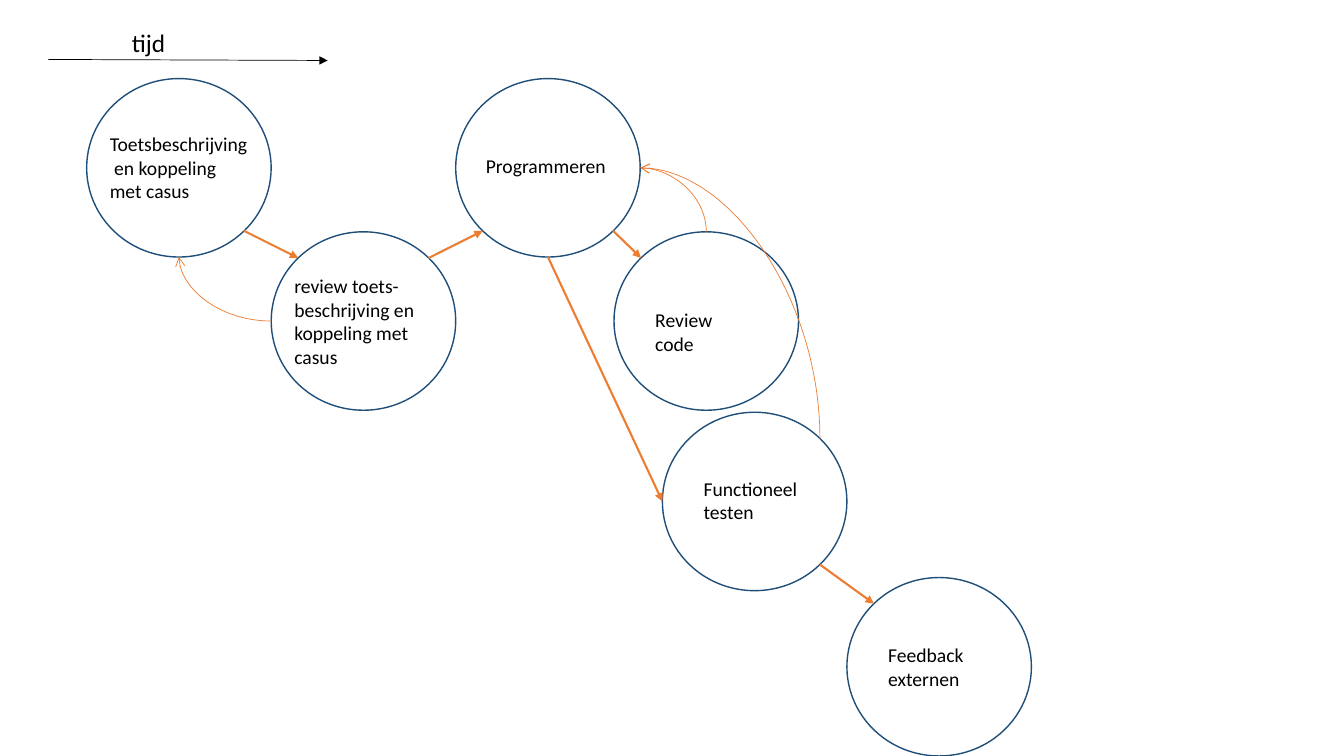
from math import cos, radians, sin

from pptx import Presentation
from pptx.dml.color import RGBColor
from pptx.enum.shapes import MSO_CONNECTOR as CONN, MSO_SHAPE as SHAPE
from pptx.oxml.ns import qn
from pptx.util import Inches, Pt
from lxml.etree import SubElement

COLORS = {"ring": "1F4E79", "flow": "ED7D31", "ink": "000000"}
FONT = "Calibri"
CIRCLE_W, CIRCLE_H = 1.83, 1.77
ANGLES = {"right": 0, "bottom right": 45, "bottom": 90, "left": 180,
          "bottom left": 135, "top left": 225, "top": 270, "top right": 315}

# step: circle left, top; label left, top, width, height; wording
STEPS = {
    "describe": ((0.86, 0.78), (0.99, 1.26, 1.58, 0.81),
                 "Toetsbeschrijving  en koppeling met casus"),
    "review test": ((2.69, 2.3), (2.82, 2.67, 1.58, 1.04),
                    "review toets-beschrijving en koppeling met casus"),
    "program": ((4.52, 0.78), (4.72, 1.48, 1.44, 0.34), "Programmeren"),
    "review code": ((6.09, 2.3), (6.4, 3.01, 1.19, 0.34), "Review code"),
    "test": ((6.57, 4.09), (6.88, 4.68, 1.19, 0.57), "Functioneel testen"),
    "feedback": ((8.4, 5.73), (8.71, 6.33, 1.21, 0.57), "Feedback externen"),
}
FORWARD = [
    ("describe", "bottom right", "review test", "top left"),
    ("review test", "top right", "program", "bottom left"),
    ("program", "bottom right", "review code", "top left"),
    ("program", "bottom", "test", "left"),
    ("test", "bottom right", "feedback", "top left"),
]
BACK = [
    ("review test", "left", "describe", "bottom"),
    ("review code", "top", "program", "right"),
    ("test", "top right", "program", "right"),
]


def rgb(name):
    """Return the named colour."""
    return RGBColor.from_string(COLORS[name])


def site(step, side):
    """Return the point on a step's circle at the named side."""
    (left, top), angle = STEPS[step][0], radians(ANGLES[side])
    return (left + CIRCLE_W / 2 * (1 + cos(angle)),
            top + CIRCLE_H / 2 * (1 + sin(angle)))


def add_circle(slide, left, top):
    """Add one outlined circle."""
    sp = slide.shapes.add_shape(SHAPE.OVAL, Inches(left), Inches(top),
                                Inches(CIRCLE_W), Inches(CIRCLE_H))
    sp.shadow.inherit = False
    sp.fill.background()
    sp.line.color.rgb = rgb("ring")
    sp.line.width = Pt(1)


def add_label(slide, box, text, size=14):
    """Add a wrapped text box."""
    tf = slide.shapes.add_textbox(*map(Inches, box)).text_frame
    tf.word_wrap = True
    r = tf.paragraphs[0].add_run()
    r.text = text
    r.font.name, r.font.size = FONT, Pt(size)
    r.font.color.rgb = rgb("ink")


def add_arrow(slide, start, end, color, width, head="triangle",
              kind=CONN.STRAIGHT):
    """Add a connector with an arrowhead at its end and return it."""
    c = slide.shapes.add_connector(kind, *map(Inches, (*start, *end)))
    c.line.color.rgb = rgb(color)
    c.line.width = Pt(width)
    SubElement(c.line._get_or_add_ln(), qn("a:tailEnd"), type=head)
    SubElement(c._element.spPr, qn("a:effectLst"))
    return c


def add_curve(slide, start, end, upright):
    """Add a quarter-curve arrow; an upright one leaves vertically."""
    if upright:
        mid_x, mid_y = (start[0] + end[0]) / 2, (start[1] + end[1]) / 2
        half_w, half_h = (start[1] - end[1]) / 2, (start[0] - end[0]) / 2
        start = mid_x - half_w, mid_y + half_h
        end = mid_x + half_w, mid_y - half_h
    c = add_arrow(slide, start, end, "flow", 0.5, "arrow", CONN.CURVE)
    spPr = c._element.spPr
    spPr.find(qn("a:prstGeom")).set("prst", "curvedConnector2")
    if upright:
        spPr.find(qn("a:xfrm")).set("rot", str(270 * 60000))


def main():
    """Build the process slide."""
    prs = Presentation()
    prs.slide_width, prs.slide_height = Inches(13.33), Inches(7.5)
    slide = prs.slides.add_slide(prs.slide_layouts[6])

    add_arrow(slide, (0.48, 0.59), (3.25, 0.6), "ink", 0.5)
    add_label(slide, (1.21, 0.22, 0.57, 0.4), "tijd", 18)
    for corner, box, text in STEPS.values():
        add_circle(slide, *corner)
        add_label(slide, box, text)
    for source, out, target, into in FORWARD:
        add_arrow(slide, site(source, out), site(target, into), "flow", 1.5)
    for source, out, target, into in BACK:
        add_curve(slide, site(source, out), site(target, into),
                  upright=out.startswith("top"))
    prs.save("out.pptx")


main()
